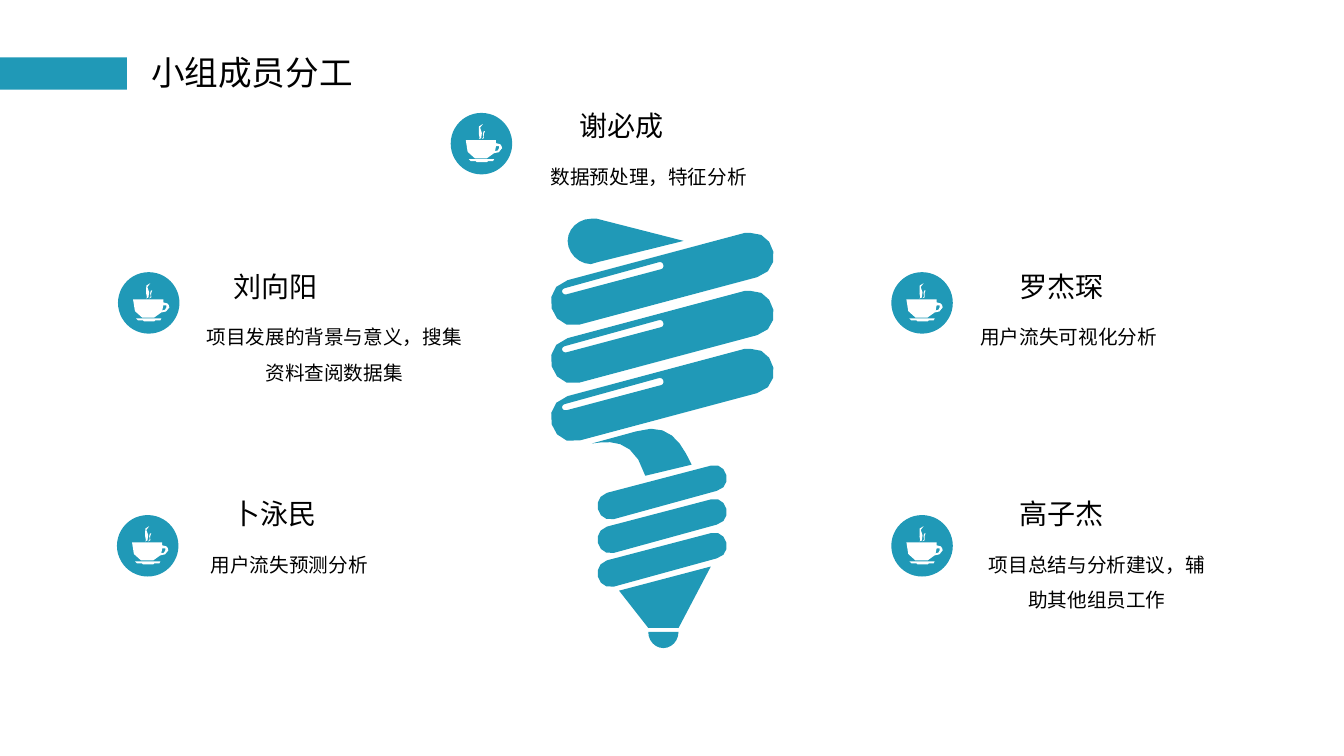
from lxml import etree
from pptx import Presentation
from pptx.dml.color import RGBColor
from pptx.enum.shapes import MSO_SHAPE
from pptx.enum.text import MSO_AUTO_SIZE, PP_ALIGN
from pptx.oxml.ns import qn
from pptx.util import Inches, Pt

OVAL, RECT = MSO_SHAPE.OVAL, MSO_SHAPE.RECTANGLE
LEFT, CENTER = PP_ALIGN.LEFT, PP_ALIGN.CENTER
GROW = MSO_AUTO_SIZE.SHAPE_TO_FIT_TEXT

COLS, ROWS = 1333, 750
CELL = Inches(0.01)
FONT = "Noto Sans CJK SC"
COLORS = {"teal": "2099B7", "white": "FFFFFF", "text": "000000"}
BULB_STEPS, ICON_STEPS = 6, 2
COIL_PITCH, RING_PITCH = 57.5, 33.5
ICON = 61
NAME_H, LINE_H, EXTRA_LINE = 44, 45, 36

CAP = [[(40, 0), (46, 0), (132, 22), (47, 43), (40, 45),
        (28, 45, 17, 34, 17, 22), (17, 10, 28, 0, 40, 0)]]
COIL = [[(108, 43), (14, 69), (10, 70, 11, 76, 16, 75), (110, 50),
         (114, 49, 112, 42, 108, 43)],
        [(198, 14), (223, 12, 232, 51, 205, 58), (29, 105),
         (0, 113, -12, 69, 17, 61), (193, 14)]]
NECK = [[(85, 211), (117, 201, 129, 221, 140, 244), (94, 255),
         (82, 216, 57, 221, 41, 223)]]
RING = [[(56, 272), (159, 245), (175, 240, 182, 266, 165, 270), (63, 298),
         (46, 302, 40, 277, 56, 272)]]
CONE = [[(159, 345), (127, 406), (97, 406), (68, 369)]]
TIP = [[(127, 410), (127, 419, 120, 426, 112, 426),
        (104, 426, 97, 419, 97, 410)]]

SAUCER = [[(18, 46), (20, 48), (25, 48), (26, 49), (36, 49), (37, 48),
           (42, 48), (43, 46)]]
CUP = [[(49, 31), (45, 30), (45, 27), (15, 27), (15, 36, 17, 43, 24, 45),
        (36, 45), (43, 40), (46, 40, 50, 39, 51, 35), (51, 33, 50, 32, 49, 31)],
       [(44, 38), (45, 33), (48, 33), (48, 35), (48, 37, 46, 38, 44, 38)]]
TALL_STEAM = [[(28, 26), (28, 26, 33, 26, 31, 20), (28, 16, 29, 13, 32, 11),
               (32, 11, 23, 14, 28, 21), (30, 25, 28, 26, 28, 26)]]
SHORT_STEAM = [[(31, 26), (31, 26, 36, 25, 33, 21), (34, 18),
                (34, 18, 31, 18, 32, 21), (33, 23, 33, 25, 31, 26)]]

MEMBERS = [
    ("刘向阳", "项目发展的背景与意义，搜集资料查阅数据集", (117, 270), (222, 262), (186, 291), 2),
    ("卜泳民", "用户流失预测分析", (116, 511), (221, 488), (161, 252), 1),
    ("罗杰琛", "用户流失可视化分析", (884, 270), (1001, 262), (934, 252), 1),
    ("高子杰", "项目总结与分析建议，辅助其他组员工作", (884, 511), (1001, 488), (962, 252), 2),
    ("谢必成", "数据预处理，特征分析", (447, 112), (565, 103), (470, 347), 1),
]


def cells(*counts):
    return [round(n * CELL) for n in counts]


def paint(sp, color):
    sp.shadow.inherit = False
    sp.fill.solid()
    sp.fill.fore_color.rgb = RGBColor.from_string(COLORS[color])
    sp.line.fill.background()


def add_preset(shapes, kind, box, color):
    paint(shapes.add_shape(kind, *cells(*box)), color)


def flatten(contour, steps):
    points = [contour[0]]
    for segment in contour[1:]:
        if len(segment) == 2:
            points.append(segment)
            continue
        x0, y0 = points[-1]
        x1, y1, x2, y2, x3, y3 = segment
        for step in range(1, steps + 1):
            t = step / steps
            a, b, c, d = (1 - t) ** 3, 3 * t * (1 - t) ** 2, 3 * t * t * (1 - t), t ** 3
            points.append((a * x0 + b * x1 + c * x2 + d * x3,
                           a * y0 + b * y1 + c * y2 + d * y3))
    return points


def add_outline(shapes, contours, left, top, color, steps):
    builder = None
    for contour in contours:
        points = [cells(left + x, top + y) for x, y in flatten(contour, steps)]
        if builder is None:
            builder = shapes.build_freeform(*points[0])
        else:
            builder.move_to(*points[0])
        builder.add_line_segments(points[1:], close=True)
    paint(builder.convert_to_shape(), color)


def add_text(shapes, text, box, size, align=LEFT, spacing=None):
    tf = shapes.add_textbox(*cells(*box)).text_frame
    tf.word_wrap = True
    tf.auto_size = GROW
    p = tf.paragraphs[0]
    p.alignment = align
    p.line_spacing = spacing
    r = p.add_run()
    r.text = text
    r.font.size = Pt(size)
    r.font.color.rgb = RGBColor.from_string(COLORS["text"])
    r.font.name = FONT
    etree.SubElement(r.font._element, qn("a:ea")).set("typeface", FONT)


def draw_bulb(slide, left, top):
    shapes = slide.shapes.add_group_shape().shapes
    for i in range(3):
        add_outline(shapes, RING, left, top + i * RING_PITCH, "teal", BULB_STEPS)
    for part in (NECK, CONE, TIP, CAP):
        add_outline(shapes, part, left, top, "teal", BULB_STEPS)
    for i in range(3):
        add_outline(shapes, COIL, left, top + i * COIL_PITCH, "teal", BULB_STEPS)


def draw_icon(shapes, left, top):
    add_preset(shapes, OVAL, (left, top, ICON, ICON), "teal")
    for part in (SAUCER, CUP, TALL_STEAM, SHORT_STEAM):
        add_outline(shapes, part, left, top, "white", ICON_STEPS)


def draw_member(slide, name, role, icon_at, name_at, role_span, lines):
    shapes = slide.shapes.add_group_shape().shapes
    draw_icon(shapes, *icon_at)
    role_left, role_width = role_span
    role_height = LINE_H + EXTRA_LINE * (lines - 1)
    add_text(shapes, role, (role_left, name_at[1] + NAME_H, role_width, role_height),
             14, CENTER, 1.5)
    add_text(shapes, name, (*name_at, 220, NAME_H), 20)


def draw_title(slide, text, top):
    shapes = slide.shapes.add_group_shape().shapes
    add_text(shapes, text, (140, top, 273, 50), 24)
    add_preset(shapes, RECT, (0, top + 10, 126, 32), "teal")


def main():
    prs = Presentation()
    prs.slide_width, prs.slide_height = cells(COLS, ROWS)
    slide = prs.slides.add_slide(prs.slide_layouts[6])
    draw_bulb(slide, 546, 217)
    for member in MEMBERS:
        draw_member(slide, *member)
    draw_title(slide, "小组成员分工", 47)
    prs.save("out.pptx")


if __name__ == "__main__":
    main()
